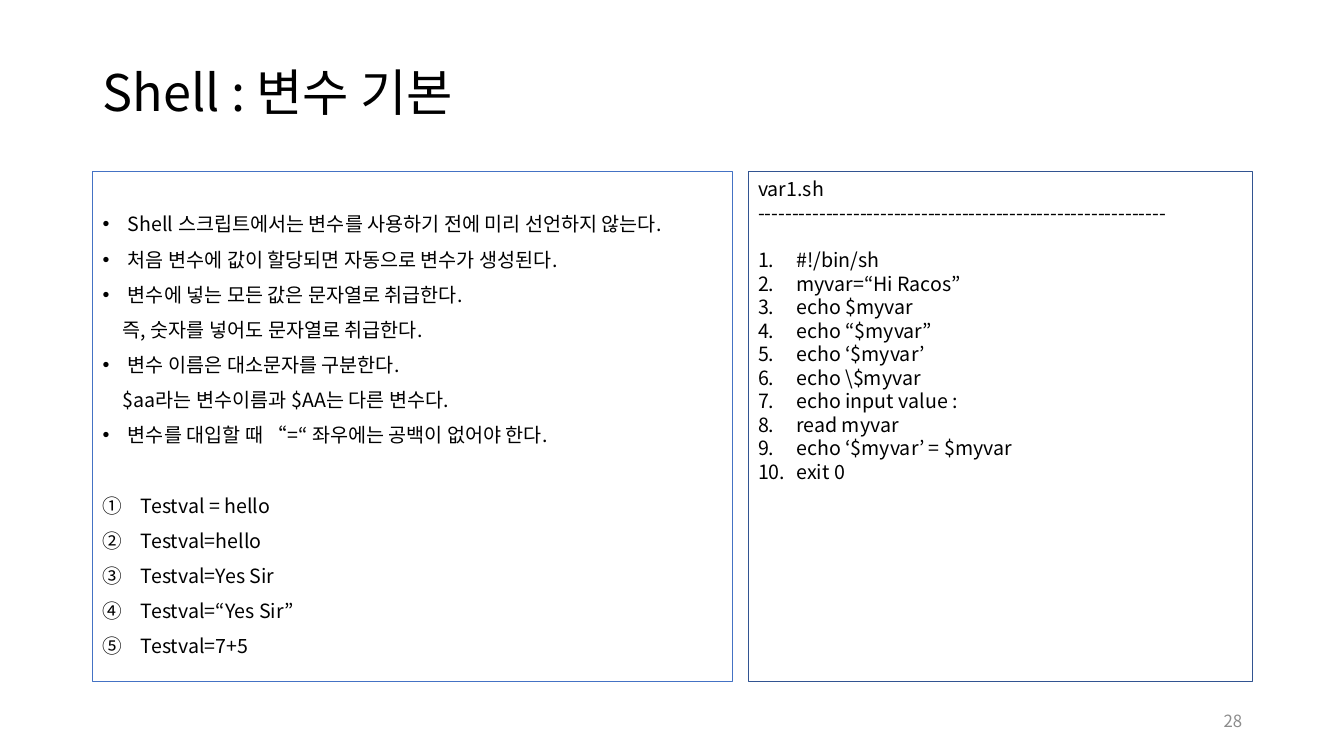
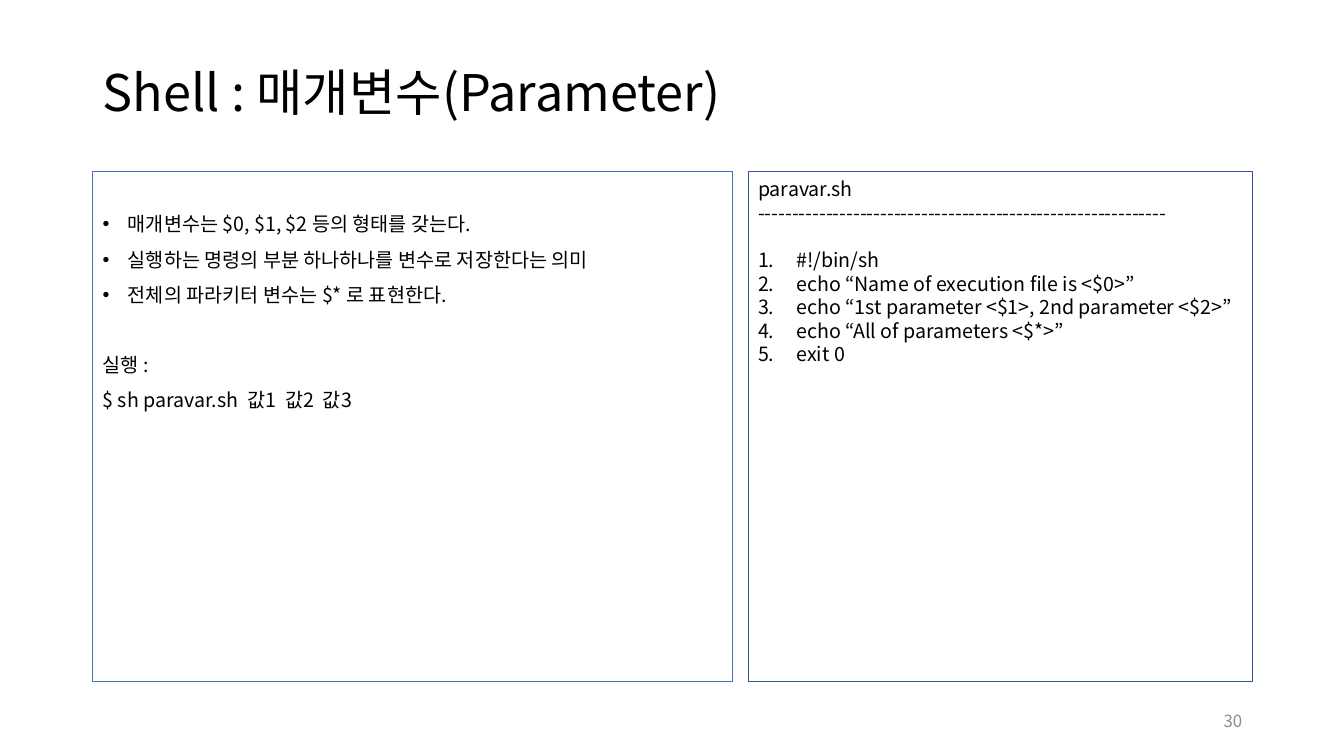
from dataclasses import dataclass

from lxml.etree import SubElement
from pptx import Presentation
from pptx.dml.color import RGBColor as Rgb
from pptx.enum.shapes import MSO_SHAPE as Shape
from pptx.enum.text import MSO_ANCHOR as Anchor, PP_ALIGN as Align
from pptx.oxml.ns import qn
from pptx.util import Inches as In, Pt


@dataclass(frozen=True)
class Theme:
    font: str = "Noto Sans CJK KR"
    ink: str = "000000"
    grey: str = "8C8C8C"
    blue: str = "4472C4"
    navy: str = "325491"
    head: int = 36
    text: int = 14
    foot: int = 12


@dataclass(frozen=True)
class Style:
    """Line pitch, paragraph gap, section gap (points) and top inset (inches)."""
    pitch: float
    gap: float
    skip: float
    top: float


T = Theme()
NOTE = Style(15.1, 10, 35.1, 0.43)
CODE = Style(16.8, 0, 16.8, 0.06)

# Grid: one margin, two columns with a gutter
WIDE, HIGH = 13.33, 7.5
LEFT, SPAN, GAP = 0.92, 11.5, 0.15
MAIN = 6.35
SIDE = SPAN - MAIN - GAP
TOP, DEEP = 1.7, 5.06

# Paragraph kinds: left margin, first-line indent, bullet tag, bullet attributes
KINDS = {
    "plain": (0, 0, "a:buNone", {}),
    "more": (0.2, 0, "a:buNone", {}),
    "dot": (0.25, -0.25, "a:buChar", {"char": "•"}),
    "ring": (0.38, -0.38, "a:buAutoNum", {"type": "circleNumDbPlain"}),
    "num": (0.38, -0.38, "a:buAutoNum", {"type": "arabicPeriod"}),
}


def mark(para, kind):
    """Set the indent and bullet of a paragraph."""
    left, first, tag, attrs = KINDS[kind]
    prop = para._p.get_or_add_pPr()
    prop.set("marL", str(In(left)))
    prop.set("indent", str(In(first)))
    if kind == "dot":
        SubElement(prop, qn("a:buFont")).set("typeface", "Arial")
    SubElement(prop, qn(tag), attrs)


def ink(para, size, color):
    """Format the runs of a paragraph."""
    for run in para.runs:
        run.font.size = Pt(size)
        run.font.name = T.font
        run.font.color.rgb = Rgb.from_string(color)
        east = SubElement(run._r.get_or_add_rPr(), qn("a:ea"))
        east.set("typeface", T.font)


def label(slide, box, text, size, color, align=Align.LEFT, pitch=None):
    """Add one line of text, centred vertically in its box."""
    frame = slide.shapes.add_textbox(*map(In, box)).text_frame
    frame.word_wrap = True
    frame.vertical_anchor = Anchor.MIDDLE
    frame.text = text
    para = frame.paragraphs[0]
    para.alignment = align
    if pitch:
        para.line_spacing = Pt(pitch)
    ink(para, size, color)


def panel(slide, left, width, edge, line, style, parts):
    """Add an outlined box whose sections are set apart by a wider gap."""
    box = slide.shapes.add_shape(
        Shape.RECTANGLE, In(left), In(TOP), In(width), In(DEEP))
    box.shadow.inherit = False
    box.fill.background()
    box.line.color.rgb = Rgb.from_string(edge)
    box.line.width = Pt(line)
    frame = box.text_frame
    frame.word_wrap = True
    frame.vertical_anchor = Anchor.TOP
    frame.margin_top = In(style.top)
    rows = [(kind, text, n == 0) for part in parts
            for n, (kind, text) in enumerate(part)]
    frame.text = "\n".join(text for _, text, _ in rows)
    for n, (para, (kind, _, new)) in enumerate(zip(frame.paragraphs, rows)):
        mark(para, kind)
        para.alignment = Align.LEFT
        para.line_spacing = Pt(style.pitch)
        space = style.skip if new else style.gap
        para.space_before = Pt(space if n else 0)
        ink(para, T.text, T.ink)


def listing(name, lines):
    """Give the sections of a script: file name, rule, numbered lines."""
    return [[("plain", name), ("plain", "-" * 60)],
            [("num", line) for line in lines]]


def page(deck, title, notes, code, number):
    """Add a slide with title, notes, script and page number."""
    slide = deck.slides.add_slide(deck.slide_layouts[6])
    label(slide, (LEFT, 0.4, SPAN, 1.01), title, T.head, T.ink, pitch=43)
    panel(slide, LEFT, MAIN, T.blue, 0.75, NOTE, notes)
    label(slide, (LEFT + SPAN - 3, 6.95, 3, 0.4), number, T.foot, T.grey,
          Align.RIGHT)
    panel(slide, LEFT + MAIN + GAP, SIDE, T.navy, 0.25, CODE, code)


# Slide content
BASIC = [
    [("dot", "Shell 스크립트에서는 변수를 사용하기 전에 미리 선언하지 않는다."),
     ("dot", "처음 변수에 값이 할당되면 자동으로 변수가 생성된다."),
     ("dot", "변수에 넣는 모든 값은 문자열로 취급한다."),
     ("more", "즉, 숫자를 넣어도 문자열로 취급한다."),
     ("dot", "변수 이름은 대소문자를 구분한다."),
     ("more", "$aa라는 변수이름과 $AA는 다른 변수다."),
     ("dot", "변수를 대입할 때 “=“ 좌우에는 공백이 없어야 한다.")],
    [("ring", "Testval = hello"),
     ("ring", "Testval=hello"),
     ("ring", "Testval=Yes Sir"),
     ("ring", "Testval=“Yes Sir”"),
     ("ring", "Testval=7+5")],
]
VAR = [
    "#!/bin/sh",
    "myvar=“Hi Racos”",
    "echo $myvar",
    "echo “$myvar”",
    "echo ‘$myvar’",
    "echo \\$myvar",
    "echo input value :",
    "read myvar",
    "echo ‘$myvar’ = $myvar",
    "exit 0",
]
PARAM = [
    [("dot", "매개변수는 $0, $1, $2 등의 형태를 갖는다."),
     ("dot", "실행하는 명령의 부분 하나하나를 변수로 저장한다는 의미"),
     ("dot", "전체의 파라키터 변수는 $* 로 표현한다.")],
    [("plain", "실행 :"),
     ("plain", "$ sh paravar.sh  값1  값2  값3")],
]
ARGS = [
    "#!/bin/sh",
    "echo “Name of execution file is <$0>”",
    "echo “1st parameter <$1>, 2nd parameter <$2>”",
    "echo “All of parameters <$*>”",
    "exit 0",
]


def main():
    deck = Presentation()
    deck.slide_width, deck.slide_height = In(WIDE), In(HIGH)
    page(deck, "Shell : 변수 기본", BASIC, listing("var1.sh", VAR), "28")
    page(deck, "Shell : 매개변수(Parameter)", PARAM,
         listing("paravar.sh", ARGS), "30")
    deck.save("out.pptx")


if __name__ == "__main__":
    main()
